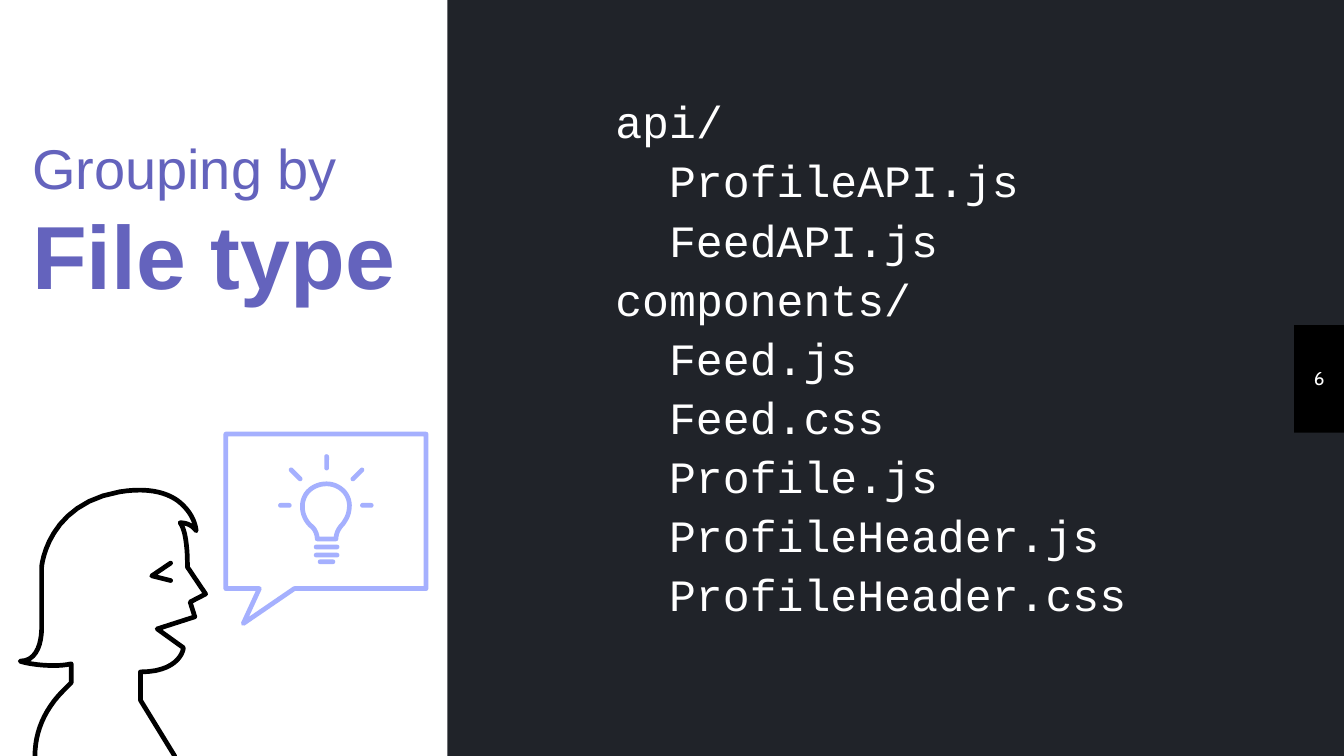
from dataclasses import dataclass

from lxml import etree
from pptx import Presentation
from pptx.dml.color import RGBColor
from pptx.enum import shapes, text
from pptx.oxml import ns
from pptx.util import Inches, Pt

WHITE, BLACK, DARK = "FFFFFF", "000000", "202329"
PURPLE, LILAC = "6463BD", "A5B0FE"
WIDTH = 10
HEIGHT = WIDTH * 9 / 16
STROKE = 0.035  # thickness of every drawn line, in inches
CURVE_STEPS = 12


@dataclass
class Bar:
    """A short round-ended bar, placed by its centre."""
    x: float
    y: float
    length: float
    rotation: float = 0


@dataclass
class Outline:
    """A start point, then line ends (x, y) or cubic curves of three points."""
    start: tuple
    segments: list
    color: str
    closed: bool = False


@dataclass
class Line:
    """One line of text; a joined line stays in the paragraph before it."""
    content: str
    size: float
    bold: bool = False
    indent: float = 0
    joined: bool = False


def rgb(color: str) -> RGBColor:
    return RGBColor.from_string(color)


def add_block(slide, kind, left: float, top: float, width: float, height: float, color: str):
    shape = slide.shapes.add_shape(kind, *map(Inches, (left, top, width, height)))
    shape.shadow.inherit = False
    shape.fill.solid()
    shape.fill.fore_color.rgb = rgb(color)
    shape.line.fill.background()
    return shape


def add_bar(slide, bar: Bar) -> None:
    shape = add_block(slide, shapes.MSO_SHAPE.ROUNDED_RECTANGLE, bar.x - bar.length / 2,
                      bar.y - STROKE / 2, bar.length, STROKE, LILAC)
    shape.adjustments[0] = 0.5
    shape.rotation = bar.rotation


def trace(outline: Outline) -> list:
    """Turn the segments into a list of points, sampling the curves."""
    points = [outline.start]
    for segment in outline.segments:
        if len(segment) == 2:
            points.append(segment)
            continue
        x0, y0 = points[-1]
        x1, y1, x2, y2, x3, y3 = segment
        for step in range(1, CURVE_STEPS + 1):
            t = step / CURVE_STEPS
            a, b, c, d = (1 - t) ** 3, 3 * t * (1 - t) ** 2, 3 * t * t * (1 - t), t ** 3
            points.append((a * x0 + b * x1 + c * x2 + d * x3,
                           a * y0 + b * y1 + c * y2 + d * y3))
    return points


def add_outline(slide, outline: Outline) -> None:
    first, *others = [(Inches(x), Inches(y)) for x, y in trace(outline)]
    builder = slide.shapes.build_freeform(*first)
    builder.add_line_segments(others, close=outline.closed)
    shape = builder.convert_to_shape()
    shape.shadow.inherit = False
    shape.fill.background()
    shape.line.color.rgb = rgb(outline.color)
    shape.line.width = Inches(STROKE)
    line = shape.line._get_or_add_ln()
    line.set("cap", "rnd")
    etree.SubElement(line, ns.qn("a:round"))


def add_text(slide, lines: list, left: float, top: float, width: float, height: float, *,
             font: str, color: str, anchor=text.MSO_ANCHOR.TOP,
             align=text.PP_ALIGN.LEFT, spacing: float = 1.0) -> None:
    box = slide.shapes.add_textbox(*map(Inches, (left, top, width, height)))
    frame = box.text_frame
    frame.word_wrap = True
    frame.vertical_anchor = anchor
    frame.margin_left = frame.margin_right = Inches(0.1)
    frame.margin_top = frame.margin_bottom = Inches(0.1)
    paragraph = frame.paragraphs[0]
    for index, line in enumerate(lines):
        if line.joined:
            paragraph.add_line_break()
        elif index:
            paragraph = frame.add_paragraph()
        paragraph.alignment = align
        paragraph.line_spacing = spacing
        if line.indent:
            paragraph._p.get_or_add_pPr().set("marL", str(Inches(line.indent)))
        run = paragraph.add_run()
        run.text = line.content
        run.font.name = font
        run.font.size = Pt(line.size)
        run.font.bold = line.bold
        run.font.color.rgb = rgb(color)


FACE = [
    # Eye
    Outline((1.27, 4.19), [(1.13, 4.285), (1.27, 4.32)], BLACK),
    # Neck, mouth, nose, hair and back
    Outline((1.3, HEIGHT), [
        (1.045, 5.21), (1.045, 5), (1.3, 5, 1.36, 4.87, 1.365, 4.82),
        (1.17, 4.68), (1.45, 4.59), (1.415, 4.48), (1.53, 4.42), (1.395, 4.22),
        (1.395, 4.02, 1.37, 3.93, 1.34, 3.89), (1.4, 3.89, 1.44, 3.92, 1.46, 3.95),
        (1.45, 3.87, 1.41, 3.8, 1.34, 3.74), (1.27, 3.68, 1.13, 3.62, 0.89, 3.66),
        (0.36, 3.75, 0.31, 4.2, 0.31, 4.22), (0.31, 4.66),
        (0.31, 4.67, 0.32, 4.92, 0.15, 4.92), (0.2, 4.94, 0.4, 4.97, 0.53, 4.94),
        (0.53, 5.08), (0.47, 5.14), (0.33, 5.28, 0.26, 5.45, 0.26, HEIGHT),
    ], BLACK),
]
BUBBLE = Outline((1.68, 3.23), [
    (3.17, 3.23), (3.17, 4.38), (2.19, 4.38), (1.81, 4.64), (1.93, 4.38), (1.68, 4.38),
], LILAC, closed=True)
BULB = Outline((2.36, 4.01), [
    (2.36, 3.97, 2.34, 3.93, 2.31, 3.91), (2.27, 3.87, 2.25, 3.82, 2.25, 3.77),
    (2.25, 3.66, 2.34, 3.6, 2.43, 3.6), (2.52, 3.6, 2.6, 3.67, 2.6, 3.76),
    (2.6, 3.82, 2.58, 3.86, 2.55, 3.9), (2.52, 3.93, 2.5, 3.97, 2.5, 4.01),
], LILAC, closed=True)
BULB_BARS = [
    # Screw base
    Bar(2.43, 4.07, 0.19), Bar(2.43, 4.13, 0.19), Bar(2.43, 4.18, 0.13),
    # Rays
    Bar(2.43, 3.44, 0.12, 90), Bar(2.12, 3.76, 0.1), Bar(2.73, 3.76, 0.1),
    Bar(2.66, 3.53, 0.13, -45), Bar(2.2, 3.53, 0.13, 45),
]
FILES = {
    "api/": ["ProfileAPI.js", "FeedAPI.js"],
    "components/": ["Feed.js", "Feed.css", "Profile.js", "ProfileHeader.js",
                    "ProfileHeader.css"],
}


def main() -> None:
    presentation = Presentation()
    presentation.slide_width, presentation.slide_height = Inches(WIDTH), Inches(HEIGHT)
    slide = presentation.slides.add_slide(presentation.slide_layouts[6])
    slide.background.fill.solid()
    slide.background.fill.fore_color.rgb = rgb(DARK)

    # Page number tab and white side panel
    rectangle = shapes.MSO_SHAPE.RECTANGLE
    add_block(slide, rectangle, 9.63, 2.42, 0.37, 0.8, BLACK)
    add_block(slide, rectangle, 0, 0, 3.33, HEIGHT, WHITE)
    add_text(slide, [Line("6", 10)], 9.63, 2.41, 0.37, 0.8, font="Cabin", color=WHITE,
             anchor=text.MSO_ANCHOR.MIDDLE, align=text.PP_ALIGN.CENTER)

    # Speaker with an idea
    for outline in [*FACE, BUBBLE, BULB]:
        add_outline(slide, outline)
    for bar in BULB_BARS:
        add_bar(slide, bar)

    # Title
    add_text(slide, [Line("Grouping by", 30), Line("File type", 48, bold=True, joined=True)],
             0.14, 0, 3.14, 3.28, font="Arial", color=PURPLE, anchor=text.MSO_ANCHOR.MIDDLE)

    # File tree, files indented by two characters
    tree = []
    for folder, files in FILES.items():
        tree.append(Line(folder, 24))
        tree += [Line(name, 24, indent=0.4) for name in files]
    add_text(slide, tree, 4.48, 0.56, 4.31, 3.82, font="Courier New", color=WHITE,
             spacing=1.1)

    presentation.save("out.pptx")


if __name__ == "__main__":
    main()
